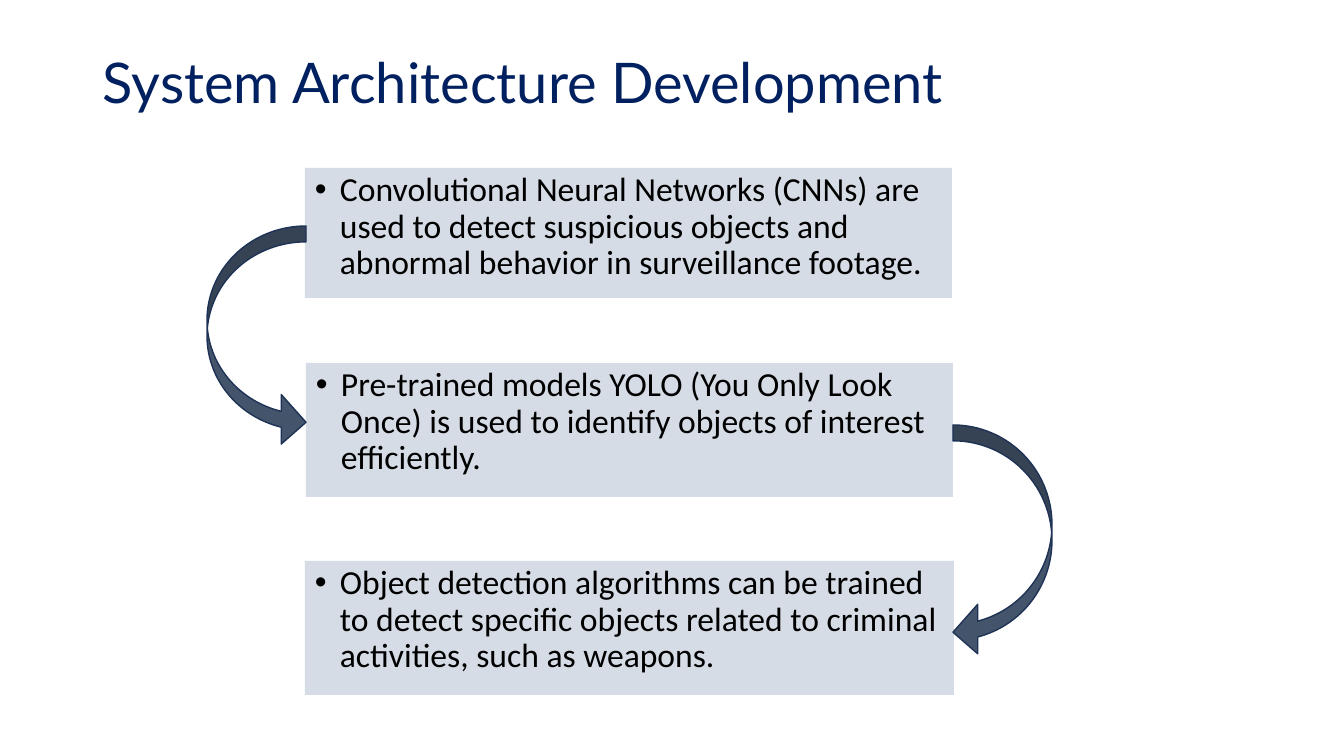
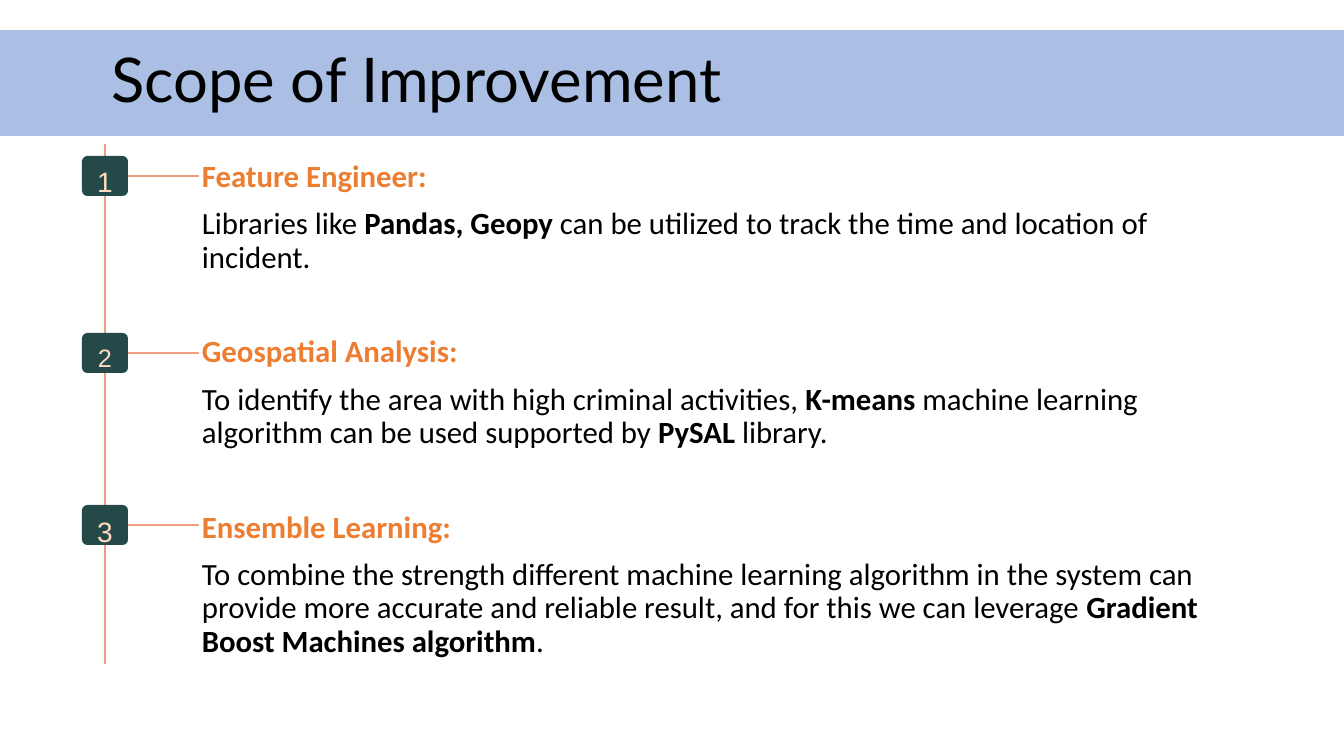
from pptx import Presentation
from pptx.dml.color import RGBColor
from pptx.enum.shapes import MSO_CONNECTOR as LINE, MSO_SHAPE as SHAPE
from pptx.enum.text import MSO_ANCHOR as ANCHOR, PP_ALIGN as ALIGN
from pptx.oxml.ns import qn
from pptx.util import Emu, Pt
from lxml.etree import SubElement

PX = 9071  # EMU in one px
WIDE, HIGH = 1344, 756

BLACK = RGBColor(0x00, 0x00, 0x00)
NAVY = RGBColor(0x00, 0x20, 0x60)
PALE = RGBColor(0xD6, 0xDC, 0xE5)
SLATE = RGBColor(0x44, 0x54, 0x6A)
EDGE = RGBColor(0x1E, 0x32, 0x56)
BAND = RGBColor(0x8F, 0xAA, 0xDC)
ORANGE = RGBColor(0xED, 0x7D, 0x31)
CORAL = RGBColor(0xEF, 0x9C, 0x82)
GREEN = RGBColor(0x23, 0x4A, 0x49)
PEACH = RGBColor(0xFF, 0xD9, 0xBE)


def box(slide, at, kind=None, fill=None, anchor=ANCHOR.TOP):
    """Add a preset shape, or a text box when no kind is given."""
    at = [Emu(n * PX) for n in at]
    if kind is None:
        shape = slide.shapes.add_textbox(*at)
    else:
        shape = slide.shapes.add_shape(kind, *at)
        shape.shadow.inherit = False
        shape.fill.solid()
        shape.fill.fore_color.rgb = fill
        shape.line.fill.background()
    shape.text_frame.word_wrap = True
    shape.text_frame.vertical_anchor = anchor
    return shape


def text(shape, words, font="Calibri", size=22, color=BLACK, gap=0,
         space=0.9, align=ALIGN.LEFT, bullet=False):
    """Add a paragraph; words between asterisks are bold."""
    frame = shape.text_frame
    para = frame.paragraphs[0]
    if para.runs:
        para = frame.add_paragraph()
    para.alignment, para.line_spacing = align, space
    para.space_before = Pt(gap)
    for i, part in enumerate(words.split("*")):
        if part:
            run = para.add_run()
            run.text = part
            run.font.name, run.font.size = font, Pt(size)
            run.font.bold = i % 2 == 1
            run.font.color.rgb = color
    if bullet:
        props = para._p.get_or_add_pPr()
        props.set("marL", str(25 * PX))
        props.set("indent", str(-25 * PX))
        SubElement(props, qn("a:buFont")).set("typeface", "Arial")
        SubElement(props, qn("a:buChar")).set("char", "•")


deck = Presentation()
deck.slide_width, deck.slide_height = Emu(WIDE * PX), Emu(HIGH * PX)
blank = deck.slide_layouts[6]
TITLE = dict(font="Lato")

# Slide 1: title
slide = deck.slides.add_slide(blank)
title = box(slide, (93, 40, 1159, 91), anchor=ANCHOR.MIDDLE)
text(title, "System Architecture Development", size=40, color=NAVY, **TITLE)

# Steps
steps = [
    ((305, 168, 647, 130),
     "Convolutional Neural Networks (CNNs) are used to detect suspicious "
     "objects and abnormal behavior in surveillance footage."),
    ((306, 363, 647, 134),
     "Pre-trained models YOLO (You Only Look Once) is used to identify "
     "objects of interest efficiently."),
    ((305, 561, 649, 134),
     "Object detection algorithms can be trained to detect specific objects "
     "related to criminal activities, such as weapons."),
]
for at, words in steps:
    text(box(slide, at, SHAPE.RECTANGLE, PALE), words, size=24, bullet=True)

# Curved arrows between the steps
for at, flip in [((207, 226, 99, 221), False), ((953, 425, 99, 232), True)]:
    arrow = box(slide, at, SHAPE.CURVED_RIGHT_ARROW, SLATE)
    for i, part in enumerate((0.16, 0.5, 0.25)):
        arrow.adjustments[i] = part
    arrow.line.color.rgb = EDGE
    arrow.line.width = Pt(1)
    if flip:
        arrow.element.spPr.find(qn("a:xfrm")).set("flipH", "1")

# Slide 2: title band
slide = deck.slides.add_slide(blank)
band = box(slide, (0, 30, WIDE, 106), SHAPE.RECTANGLE, BAND, ANCHOR.MIDDLE)
tint = band.element.spPr.find(qn("a:solidFill")).find(qn("a:srgbClr"))
SubElement(tint, qn("a:alpha")).set("val", "75000")
band.text_frame.margin_left = Emu(111 * PX)
text(band, "Scope of Improvement", size=44, **TITLE)

# Topics
topics = [
    ("Feature Engineer:",
     "Libraries like *Pandas, Geopy* can be utilized to track the time and "
     "location of incident."),
    ("Geospatial Analysis:",
     "To identify the area with high criminal activities, *K-means* machine "
     "learning algorithm can be used supported by *PySAL* library."),
    ("Ensemble Learning:",
     "To combine the strength different machine learning algorithm in the "
     "system can provide more accurate and reliable result, and for this we "
     "can leverage *Gradient Boost Machines algorithm*."),
]
body = box(slide, (192, 156, 1052, 501))
for i, (head, words) in enumerate(topics):
    text(body, f"*{head}*", color=ORANGE, gap=44 if i else 0)
    text(body, words, gap=10)

# Timeline: rail, then numbered badges with their branches
MID = 105
rail = slide.shapes.add_connector(
    LINE.STRAIGHT, *[Emu(n * PX) for n in (MID, 144, MID, 664)])
lines = [rail]
for i, (top, size) in enumerate([(156, 20), (333, 18), (505, 20)]):
    badge = box(slide, (MID - 23, top, 46, 40), SHAPE.ROUNDED_RECTANGLE, GREEN)
    badge.adjustments[0] = 0.13
    y = top + 20
    branch = slide.shapes.add_connector(
        LINE.STRAIGHT, *[Emu(n * PX) for n in (MID + 23, y, 199, y)])
    branch.begin_connect(badge, 3)
    lines.append(branch)
    label = box(slide, (MID - 23, 151 + 175 * i, 46, 34))
    text(label, str(i + 1), font="Arial", size=size, color=PEACH,
         space=Pt(29.9), align=ALIGN.CENTER)
for line in lines:
    line.line.color.rgb = CORAL
    line.line.width = Pt(1.75)
    SubElement(line.element.spPr, qn("a:effectLst"))

deck.save("out.pptx")
